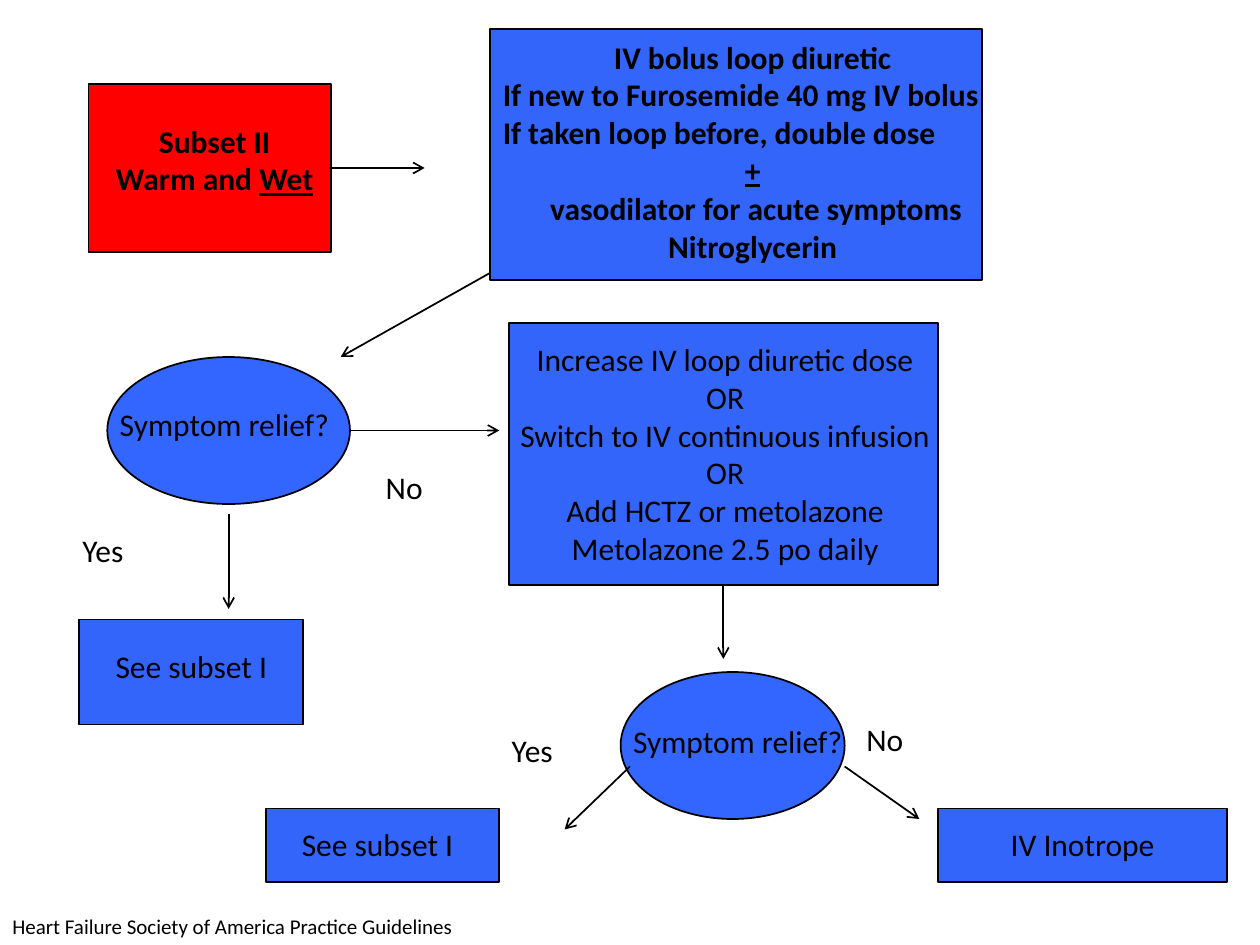
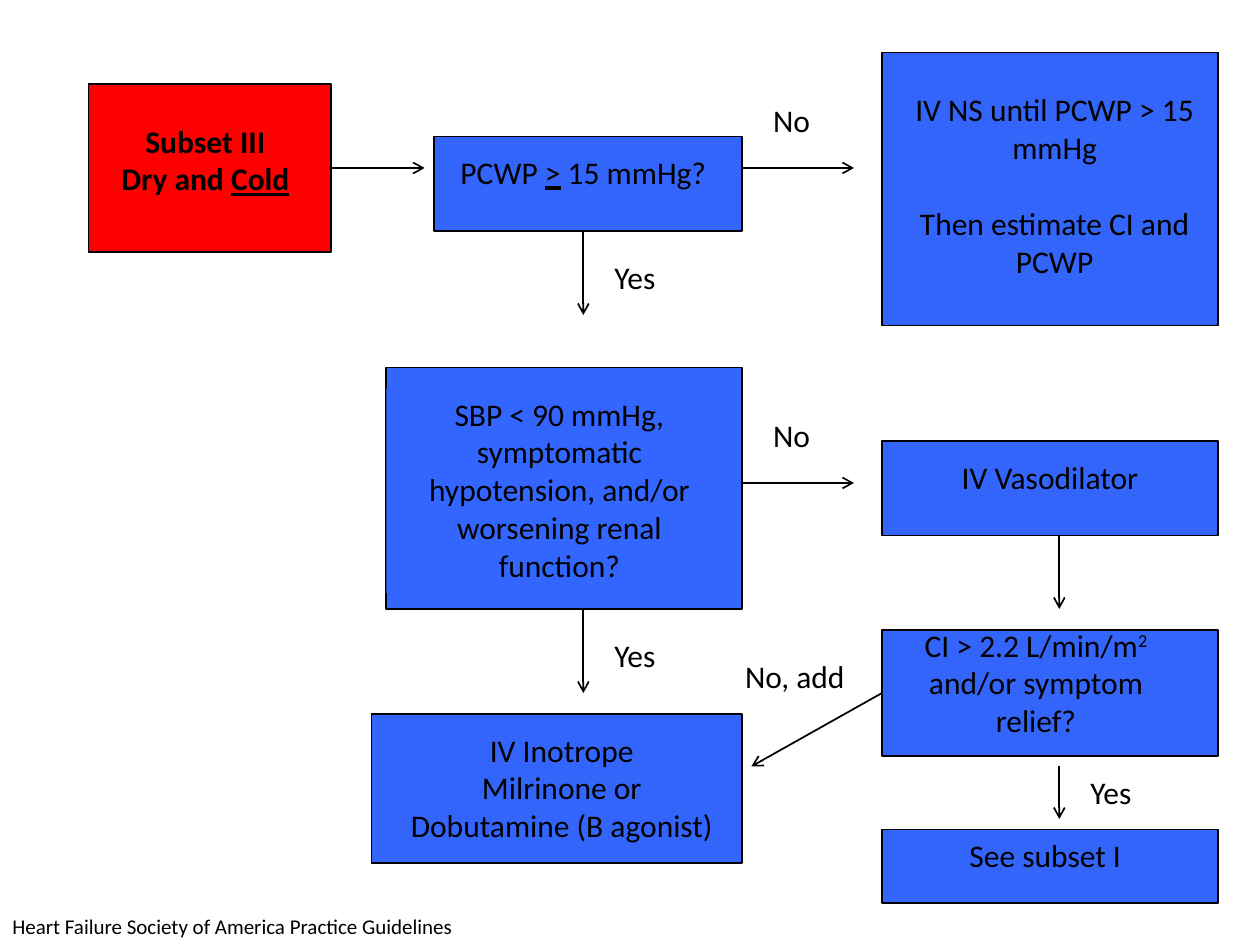
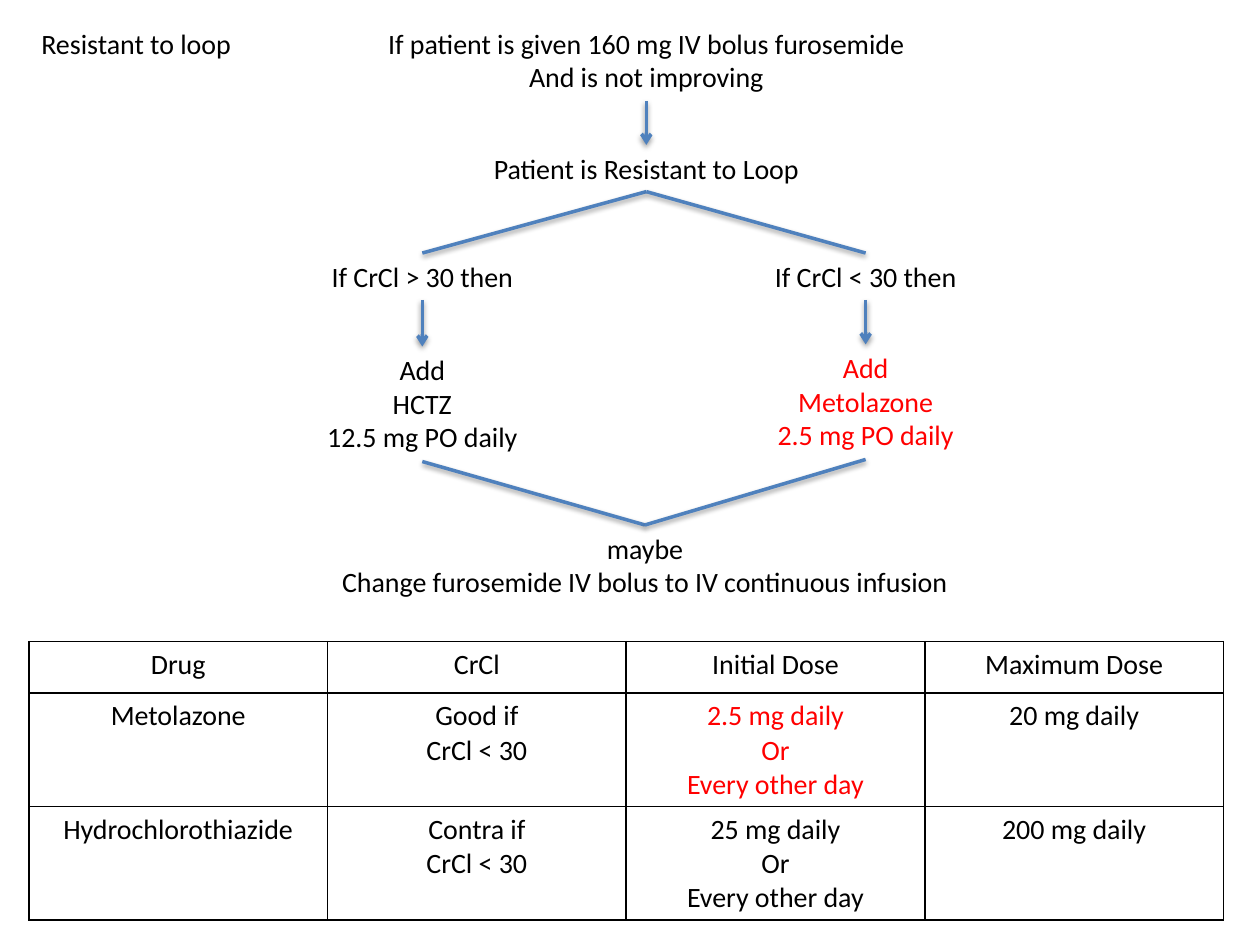
from lxml import etree
from pptx import Presentation
from pptx import util as u
from pptx.dml.color import RGBColor
from pptx.enum import shapes, text
from pptx.oxml import ns

COLOURS = {"ink": "000000", "subset": "FF0000", "step": "3365FB",
           "decision": "3366FF", "branch": "4F81BD", "alert": "FF0000"}
FONT = "Calibri"
COL = u.Inches(10) / 135
ROW = u.Inches(7.5) / 90
TOP, LEFT, BOTTOM, RIGHT = range(4)
RECT = shapes.MSO_SHAPE.RECTANGLE
OVAL = shapes.MSO_SHAPE.OVAL
CENTRE = text.PP_ALIGN.CENTER
START = text.PP_ALIGN.LEFT
SOURCE = "Heart Failure Society of America Practice Guidelines"


def rgb(name):
    return RGBColor.from_string(COLOURS[name])


def x(cols):
    return u.Emu(round(cols * COL))


def y(rows):
    return u.Emu(round(rows * ROW))


def add_xml(parent, tag, **attributes):
    child = etree.SubElement(parent, ns.qn(tag))
    for key, value in attributes.items():
        child.set(key, str(value))
    return child


def write(frame, lines, size=18, colour="ink", bold=False, align=CENTRE, gap=0):
    """Fill a text frame; a line is a string or a list of (words, mark) runs."""
    aligns = align if isinstance(align, list) else [align] * len(lines)
    for index, line in enumerate(lines):
        paragraph = frame.paragraphs[0] if index == 0 else frame.add_paragraph()
        paragraph.alignment = aligns[index]
        if index and gap:
            paragraph.space_before = u.Pt(gap)
        for words, mark in [(line, "")] if isinstance(line, str) else line:
            run = paragraph.add_run()
            run.text = words
            run.font.name = FONT
            run.font.size = u.Pt(size)
            run.font.bold = bold
            run.font.color.rgb = rgb(colour)
            if mark == "underline":
                run.font.underline = True
            elif mark == "superscript":
                run._r.get_or_add_rPr().set("baseline", "30000")


def label(slide, lines, col, row, cols, fill=None, rows_of_text=None, size=18,
          wrap=True, **style):
    """Place a text box whose height follows from its number of text rows."""
    lines = [lines] if isinstance(lines, str) else lines
    height = u.Inches(0.1) + u.Pt(size * 1.22) * (rows_of_text or len(lines))
    holder = slide.shapes.add_textbox(x(col), y(row), x(cols), height)
    if fill:
        holder.fill.solid()
        holder.fill.fore_color.rgb = rgb(fill)
    holder.text_frame.word_wrap = wrap
    holder.text_frame.auto_size = text.MSO_AUTO_SIZE.SHAPE_TO_FIT_TEXT
    write(holder.text_frame, lines, size=size, **style)
    return holder


def node(slide, col, row, cols, rows, fill="step", outline=RECT):
    shape = slide.shapes.add_shape(outline, x(col), y(row), x(cols), y(rows))
    shape.shadow.inherit = False
    shape.fill.solid()
    shape.fill.fore_color.rgb = rgb(fill)
    shape.line.color.rgb = rgb("ink")
    shape.line.width = u.Pt(1)
    return shape


def link(slide, start, end, colour="ink", width=1, head=True, shadow=False):
    """Join two ends, each a (column, row) point or a (shape, side) pair."""
    line = slide.shapes.add_connector(shapes.MSO_CONNECTOR.STRAIGHT, 0, 0, 0, 0)
    if isinstance(start[0], (int, float)):
        line.begin_x, line.begin_y = x(start[0]), y(start[1])
    else:
        line.begin_connect(*start)
    if isinstance(end[0], (int, float)):
        line.end_x, line.end_y = x(end[0]), y(end[1])
    else:
        line.end_connect(*end)
    line.line.color.rgb = rgb(colour)
    line.line.width = u.Pt(width)
    properties = line._element.spPr
    if head:
        add_xml(properties.find(ns.qn("a:ln")), "a:tailEnd", type="arrow")
    effects = add_xml(properties, "a:effectLst")
    if shadow:
        cast = add_xml(effects, "a:outerShdw", blurRad=u.Pt(3.1), dist=u.Pt(1.6),
                       dir=5400000, rotWithShape=0)
        tint = add_xml(cast, "a:srgbClr", val=COLOURS["ink"])
        add_xml(tint, "a:alpha", val=38000)


def subset_start(slide, lines, cols):
    """Red starting box with its first arrow, as on every subset slide."""
    box = node(slide, 9.5, 8, 26, 16, "subset")
    link(slide, (box, RIGHT), (45.5, 16))
    label(slide, lines, 10.5, 11, cols, bold=True)


def footer(slide):
    label(slide, SOURCE, 0, 86.4, 67.5, size=12, align=START)


def answers(slide, places):
    for words, col, row, cols in places:
        label(slide, words, col, row, cols, align=START)


def warm_and_wet(slide):
    subset_start(slide, ["Subset II", [("Warm and ", ""), ("Wet", "underline")]], 25)
    node(slide, 52.5, 2.75, 52.75, 23.9)
    increase = node(slide, 54.5, 30.75, 46, 25)
    node(slide, 11.5, 34, 26, 14, "decision", OVAL)
    node(slide, 66.5, 64, 24, 14, "decision", OVAL)
    for place in [(100.5, 77, 31, 7), (28.5, 77, 25, 7), (8.5, 59, 24, 10)]:
        node(slide, *place)

    for start, end in [((52.5, 26), (36.5, 34)), ((37.5, 41), (53.5, 41)),
                       ((increase, BOTTOM), (77.5, 62.75)),
                       ((24.5, 49), (24.5, 58)), ((90.5, 73), (98.5, 78)),
                       ((67.5, 73), (60.5, 79))]:
        link(slide, start, end)

    label(slide, ["IV bolus loop diuretic", "If new to Furosemide 40 mg IV bolus",
                  "If taken loop before, double dose", [("+", "underline")],
                  " vasodilator for acute symptoms", "Nitroglycerin"],
          52.55, 3, 56.2, bold=True, align=[CENTRE, START, START] + [CENTRE] * 3)
    label(slide, ["Increase IV loop diuretic dose", "OR",
                  "Switch to IV continuous infusion", "OR",
                  "Add HCTZ or metolazone", "Metolazone 2.5 po daily"],
          49.7, 31.8, 56)
    answers(slide, [("Symptom relief?", 11.5, 38, 28), ("Yes", 7.5, 50, 13),
                    ("No", 40, 44, 8.5), ("Symptom relief?", 66.5, 68.2, 28),
                    ("Yes", 53.5, 69, 9), ("No", 91.5, 68, 8)])
    label(slide, "See subset I", 4.5, 61, 32)
    label(slide, "See subset I", 31, 78, 20.5, fill="step", align=START)
    label(slide, "IV Inotrope", 101.5, 78, 29)
    footer(slide)


def dry_and_cold(slide):
    subset_start(slide, ["Subset III", [("Dry and ", ""), ("Cold", "underline")]], 23)
    for place in [(46.5, 13, 33, 9), (94.5, 5, 36, 26), (94.5, 42, 36, 9),
                  (39.8, 68, 39.7, 14.2), (94.5, 79, 36, 7)]:
        node(slide, *place)
    node(slide, 41.4, 35, 38.1, 23, "decision")
    cardiac_index = node(slide, 94.5, 60, 36, 12)

    for start, end in [((79.5, 16), (91.5, 16)), ((62.5, 22), (62.5, 30)),
                       ((79.5, 46), (91.5, 46)), ((62.5, 58), (62.5, 66)),
                       ((113.5, 51), (113.5, 58)), ((113.5, 73), (113.5, 78)),
                       ((cardiac_index, LEFT), (80.5, 73))]:
        link(slide, start, end)

    label(slide, [[("PCWP ", ""), (">", "underline"), (" 15 mmHg?", "")]],
          46.5, 14, 32)
    label(slide, ["IV NS until PCWP > 15 mmHg", "Then estimate CI and PCWP"],
          96.5, 8, 33, fill="step", rows_of_text=5, gap=22)
    label(slide, "SBP < 90 mmHg, symptomatic hypotension, and/or worsening "
          "renal function?", 41.4, 37, 37.1, fill="decision", rows_of_text=5)
    label(slide, "IV Vasodilator", 95.5, 43, 34)
    label(slide, ["IV Inotrope", "Milrinone or", "Dobutamine (B agonist)"],
          41.4, 69, 37.6)
    label(slide, [[("CI > 2.2 L/min/m", ""), ("2", "superscript"),
                   (" and/or symptom relief?", "")]],
          94.5, 59, 33, rows_of_text=3)
    label(slide, "See subset I", 97.5, 79, 29)
    answers(slide, [("No", 81.5, 9, 8), ("Yes", 64.5, 24, 13), ("No", 81.5, 39, 9),
                    ("Yes", 64.5, 60, 9), ("Yes", 115.5, 73, 13),
                    ("No, add", 78.5, 62, 14)])
    footer(slide)


def dose_table(slide, rows, col, row, cols, heights, alerts):
    """Draw a plain ruled table; alerts holds the (row, column) cells in red."""
    table = slide.shapes.add_table(len(rows), len(rows[0]), x(col), y(row),
                                   x(cols), y(sum(heights))).table
    table.first_row = table.horz_banding = False
    for r, (record, height) in enumerate(zip(rows, heights)):
        table.rows[r].height = y(height)
        for c, words in enumerate(record):
            cell = table.cell(r, c)
            write(cell.text_frame, words.split("\n"), size=16,
                  colour="alert" if (r, c) in alerts else "ink")
            properties = cell._tc.get_or_add_tcPr()
            for side in ("a:lnL", "a:lnR", "a:lnT", "a:lnB"):
                border = add_xml(properties, side, w=u.Pt(1))
                ink = add_xml(border, "a:solidFill")
                add_xml(ink, "a:srgbClr", val=COLOURS["ink"])
            cell.fill.background()


def resistant_to_loop(slide):
    trunk, low, high = 69.25, 92.75, 45.25

    def stage(lines, centre, row, cols, wrap=False, **style):
        return label(slide, lines, centre - cols / 2, row, cols, size=16,
                     wrap=wrap, **style)

    label(slide, "Resistant to loop", 3.1, 1.9, 23.5, size=16, wrap=False,
          align=START)
    bolus = stage(["If patient is given 160 mg IV bolus furosemide",
                   "And is not improving"], trunk, 1.9, 60)
    resistant = stage("Patient is Resistant to Loop", trunk, 13.8, 42.1, wrap=True)
    infusion = stage(["maybe", "Change furosemide IV bolus to IV continuous infusion"],
                     69.1, 50, 85, wrap=True)
    branch = {"colour": "branch", "width": 2, "shadow": True}
    link(slide, (bolus, BOTTOM), (resistant, TOP), **branch)

    for centre, sign, drug, dose, row, colour in [
            (high, ">", "HCTZ", "12.5 mg PO daily", 33, "ink"),
            (low, "<", "Metolazone", "2.5 mg PO daily", 32.8, "alert")]:
        clearance = stage(f"If CrCl {sign} 30 then", centre, 24.1, 24)
        addition = stage(["Add", drug, dose], centre, row, 26, colour=colour)
        link(slide, (resistant, BOTTOM), (clearance, TOP), head=False, **branch)
        link(slide, (clearance, BOTTOM), (addition, TOP), **branch)
        link(slide, (addition, BOTTOM), (infusion, TOP), head=False, **branch)

    dose_table(slide, [
        ["Drug", "CrCl", "Initial Dose", "Maximum Dose"],
        ["Metolazone", "Good if\nCrCl < 30", "2.5 mg daily\nOr\nEvery other day",
         "20 mg daily"],
        ["Hydrochlorothiazide", "Contra if\nCrCl < 30",
         "25 mg daily\nOr\nEvery other day", "200 mg daily"],
    ], 3.1, 61.1, 128, [4.9, 10.75, 10.75], alerts={(1, 2)})


def main():
    deck = Presentation()
    deck.slide_width, deck.slide_height = u.Inches(10), u.Inches(7.5)
    for build in (warm_and_wet, dry_and_cold, resistant_to_loop):
        build(deck.slides.add_slide(deck.slide_layouts[6]))
    deck.save("out.pptx")


if __name__ == "__main__":
    main()
